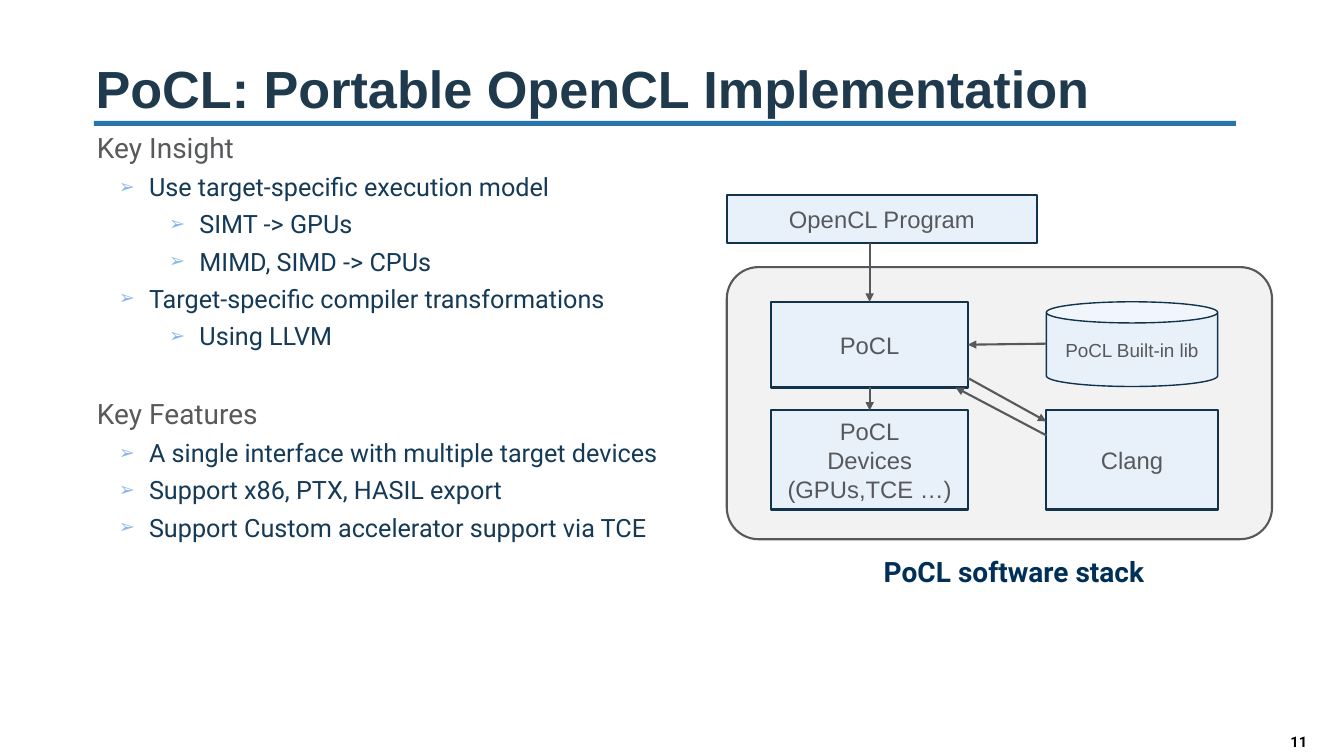
from dataclasses import dataclass

from lxml import etree
from pptx import Presentation
from pptx.dml.color import RGBColor
from pptx.enum import shapes, text
from pptx.oxml import ns
from pptx.util import Pt


@dataclass(frozen=True)
class Theme:
    sans: str = "Arial"
    body: str = "Roboto"
    title: str = "1F394D"
    rule: str = "2774AE"
    heading: str = "58595B"
    point: str = "143A57"
    bullet: str = "8AB8E8"
    stack: str = "F2F2F2"
    box: str = "E8F1FA"
    box_edge: str = "11334C"
    grey: str = "57585B"
    caption: str = "003057"
    number: str = "000000"
    title_size: float = 37.3
    heading_size: float = 20
    point_size: float = 18
    box_size: float = 17
    small_size: float = 13.5
    number_size: float = 10.5


THEME = Theme()
SHAPE = shapes.MSO_SHAPE
CENTER = text.PP_ALIGN.CENTER

OUTLINE = [
    (0, "Key Insight"),
    (1, "Use target-specific execution model"),
    (2, "SIMT -> GPUs"),
    (2, "MIMD, SIMD -> CPUs"),
    (1, "Target-specific compiler transformations"),
    (2, "Using LLVM"),
    (0, "Key Features"),
    (1, "A single interface with multiple target devices"),
    (1, "Support x86, PTX, HASIL export"),
    (1, "Support Custom accelerator support via TCE"),
]
SECTION_GAP = 33
INDENTS = {0: (6, 0), 1: (43.2, -21.6), 2: (79.2, -21.6)}


def style(paragraph, size, color, font, bold=False):
    for run in paragraph.runs:
        run.font.size = Pt(size)
        run.font.name = font
        run.font.bold = bold
        run.font.color.rgb = RGBColor.from_string(color)


def add_label(slide, place, words, size, color, font, align=None, anchor=None):
    frame = slide.shapes.add_textbox(*map(Pt, place)).text_frame
    frame.word_wrap = True
    frame.vertical_anchor = anchor
    frame.text = words
    line = frame.paragraphs[0]
    line.alignment = align
    style(line, size, color, font, bold=True)
    return line


def add_block(slide, kind, place, fill, edge=None, width=1.5, words="", size=THEME.box_size):
    block = slide.shapes.add_shape(kind, *map(Pt, place))
    block.shadow.inherit = False
    block.fill.solid()
    block.fill.fore_color.rgb = RGBColor.from_string(fill)
    if edge:
        block.line.color.rgb = RGBColor.from_string(edge)
        block.line.width = Pt(width)
    else:
        block.line.fill.background()
    if words:
        frame = block.text_frame
        frame.vertical_anchor = text.MSO_ANCHOR.MIDDLE
        frame.text = words
        for paragraph in frame.paragraphs:
            paragraph.alignment = CENTER
            style(paragraph, size, THEME.grey, THEME.sans)
    return block


def add_arrow(slide, start, end):
    arrow = slide.shapes.add_connector(
        shapes.MSO_CONNECTOR.STRAIGHT, *map(Pt, (*start, *end)))
    arrow.line.color.rgb = RGBColor.from_string(THEME.grey)
    arrow.line.width = Pt(1.5)
    etree.SubElement(arrow.line._get_or_add_ln(), ns.qn("a:tailEnd"), type="triangle")
    etree.SubElement(arrow._element.spPr, ns.qn("a:effectLst"))


def set_bullet(paragraph, level):
    margin, indent = INDENTS[level]
    props = paragraph._p.get_or_add_pPr()
    props.set("marL", str(Pt(margin)))
    props.set("indent", str(Pt(indent)))
    if level:
        color = etree.SubElement(props, ns.qn("a:buClr"))
        etree.SubElement(color, ns.qn("a:srgbClr"), val=THEME.bullet)
        etree.SubElement(props, ns.qn("a:buSzPct"), val="76000")
        etree.SubElement(props, ns.qn("a:buFont"), typeface=THEME.sans)
        etree.SubElement(props, ns.qn("a:buChar"), char="➢")


def add_outline(slide, place):
    frame = slide.shapes.add_textbox(*map(Pt, place)).text_frame
    frame.word_wrap = True
    frame.text = "\n".join(words for _, words in OUTLINE)
    for index, (paragraph, (level, _)) in enumerate(zip(frame.paragraphs, OUTLINE)):
        paragraph.level = level
        set_bullet(paragraph, level)
        if index:
            paragraph.space_before = Pt(5 if level else SECTION_GAP)
        if level:
            style(paragraph, THEME.point_size, THEME.point, THEME.body)
        else:
            style(paragraph, THEME.heading_size, THEME.heading, THEME.body)


def add_software_stack(slide):
    left, left_width = 551, 140.4
    right, right_width = 747.4, 122.4
    upper, upper_height = 215.6, 61.2
    lower, lower_height = 293.2, 70.8
    axis = 621.2
    left_edge = left + left_width
    upper_edge = upper + upper_height

    stack = add_block(slide, SHAPE.ROUNDED_RECTANGLE, (519.1, 190.8, 389.5, 194.4),
                      THEME.stack, THEME.grey)
    stack.adjustments[0] = 0.117

    for kind, place, width, words, size in [
        (SHAPE.RECTANGLE, (519.1, 139, 221.8, 34.6), 1.5, "OpenCL Program", THEME.box_size),
        (SHAPE.RECTANGLE, (left, upper, left_width, upper_height), 1.5, "PoCL", THEME.box_size),
        (SHAPE.RECTANGLE, (right, lower, right_width, lower_height), 1.5, "Clang", THEME.box_size),
        (SHAPE.CAN, (right, upper, right_width, 60.5), 1, "PoCL Built-in lib", THEME.small_size),
        (SHAPE.RECTANGLE, (left, lower, left_width, lower_height), 1.5,
         "PoCL\nDevices\n(GPUs,TCE …)", THEME.box_size),
    ]:
        add_block(slide, kind, place, THEME.box, THEME.box_edge, width, words, size)

    for start, end in [
        ((axis, 173.6), (axis, upper)),
        ((right, 245.5), (left_edge, 246.2)),
        ((right, 311), (682.6, upper_edge)),
        ((left_edge, 270), (right, 301)),
        ((axis, upper_edge), (axis, lower)),
    ]:
        add_arrow(slide, start, end)

    caption = add_label(slide, (578.9, 395.3, 290.9, 57.6), "PoCL software stack",
                        THEME.heading_size, THEME.caption, THEME.body, CENTER)
    caption.line_spacing = 0.9


def main():
    deck = Presentation()
    deck.slide_width, deck.slide_height = Pt(960), Pt(540)
    slide = deck.slides.add_slide(deck.slide_layouts[6])
    add_block(slide, SHAPE.RECTANGLE, (67, 86.4, 815.8, 3.6), THEME.rule)
    add_label(slide, (61.2, 22.6, 887.8, 66.2), "PoCL: Portable OpenCL Implementation",
              THEME.title_size, THEME.title, THEME.sans, anchor=text.MSO_ANCHOR.BOTTOM)
    add_label(slide, (887.8, 519.8, 79.9, 18), "11",
              THEME.number_size, THEME.number, THEME.body, CENTER)
    add_outline(slide, (56.2, 90, 912.2, 408.2))
    add_software_stack(slide)
    deck.save("out.pptx")


if __name__ == "__main__":
    main()
